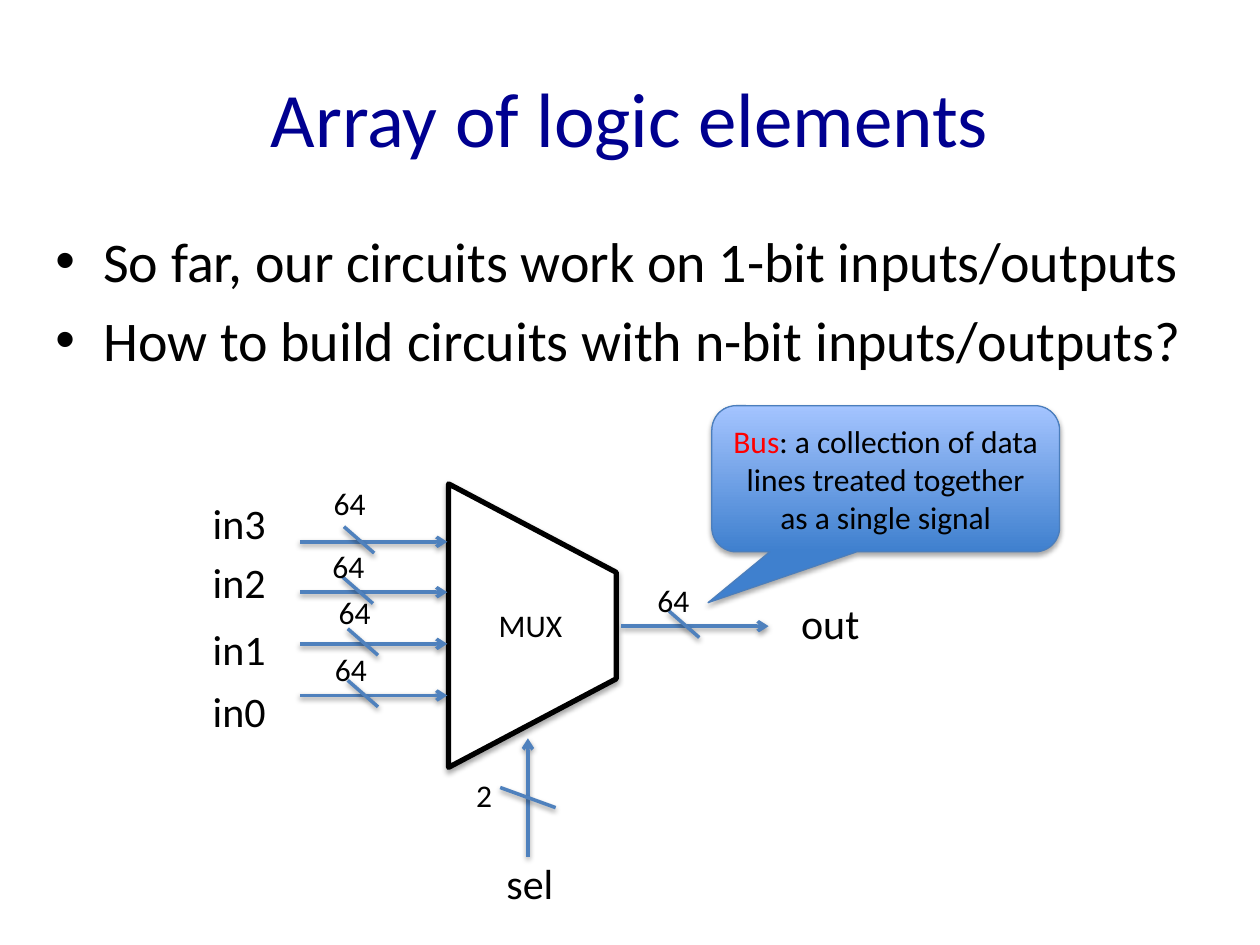
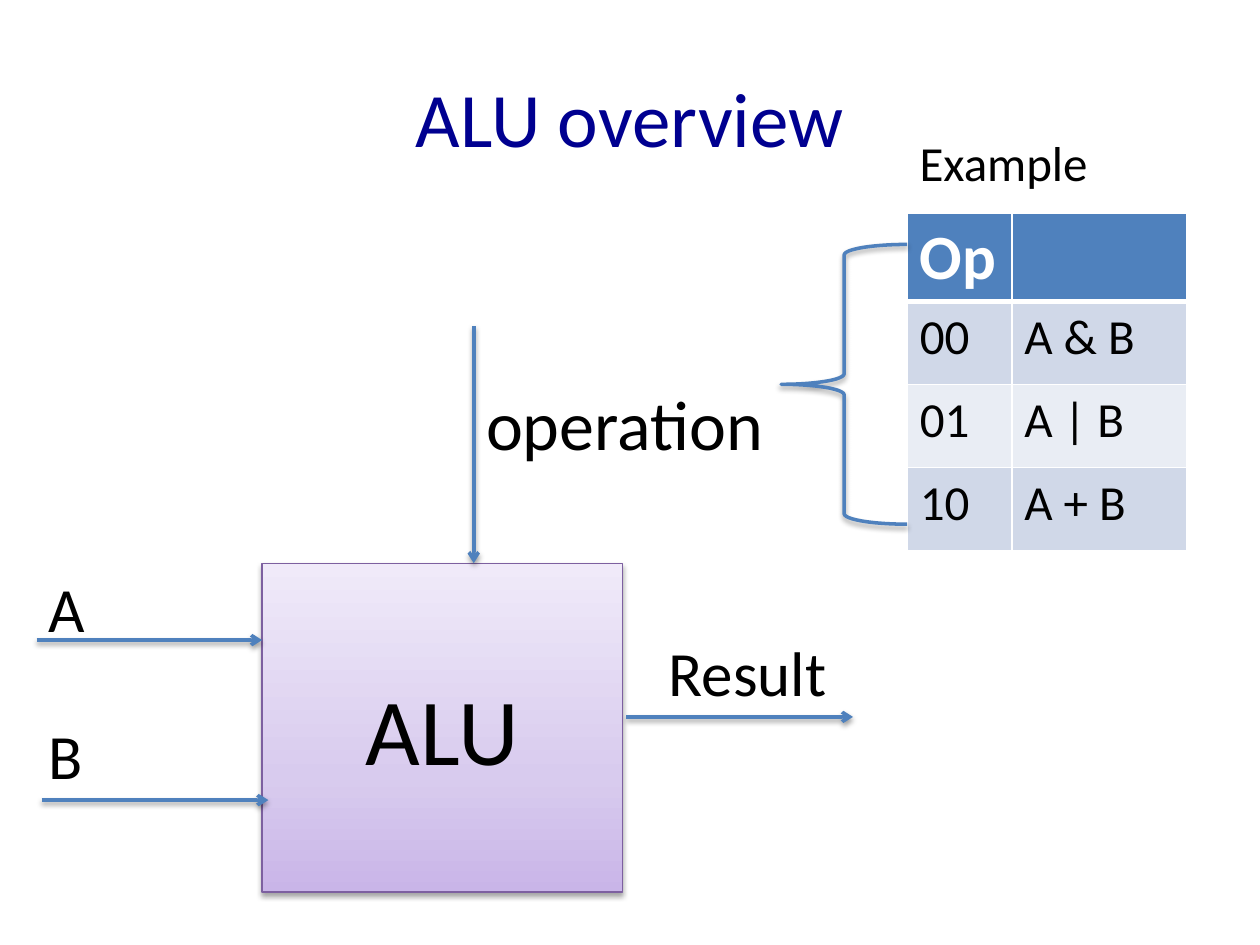
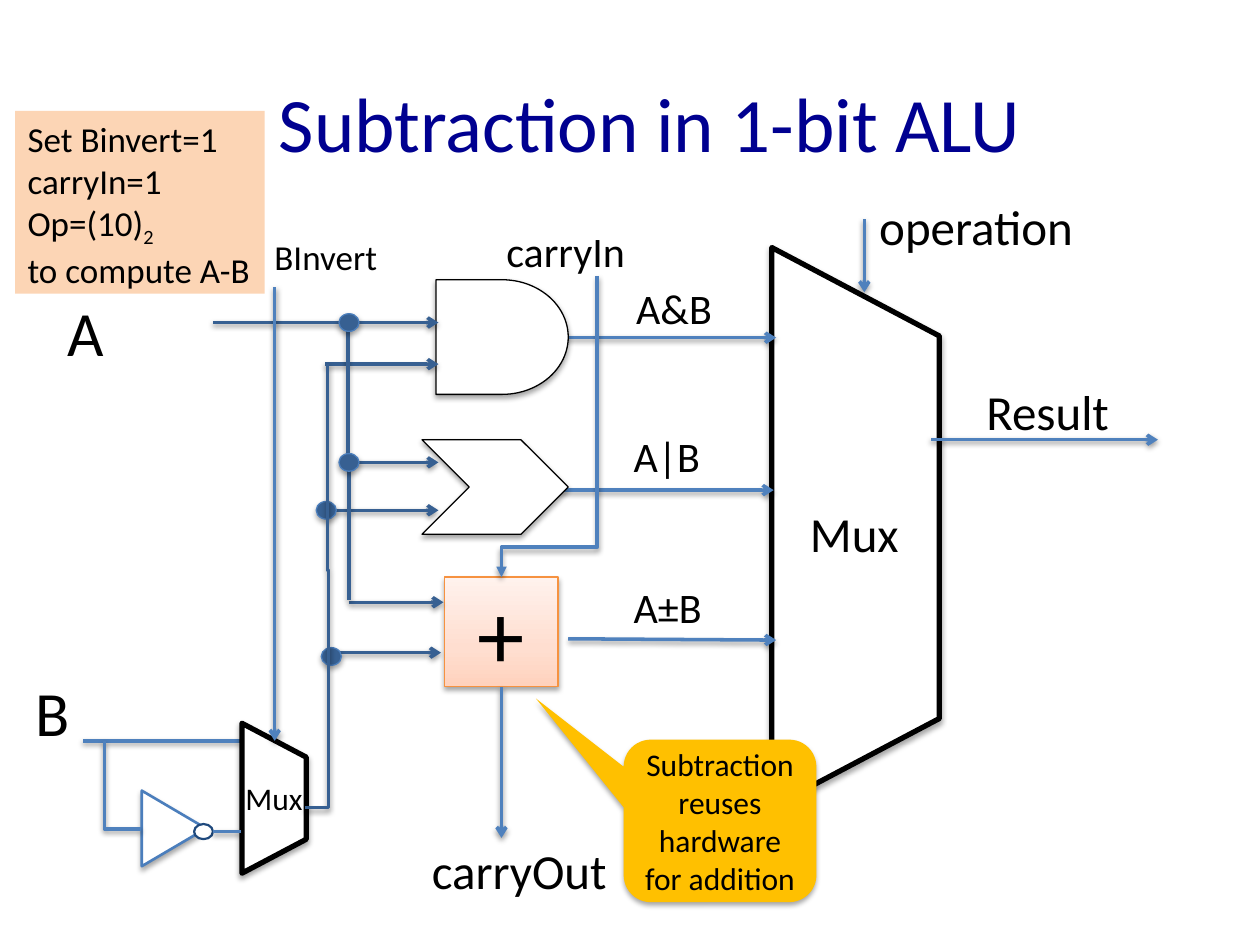
from dataclasses import dataclass

from lxml.etree import SubElement
from pptx import Presentation
from pptx.dml.color import RGBColor
from pptx.enum.shapes import MSO_CONNECTOR as Link, MSO_SHAPE as Form
from pptx.enum.text import MSO_ANCHOR as Anchor, MSO_AUTO_SIZE as Fit, PP_ALIGN as Align
from pptx.oxml.ns import qn
from pptx.util import Inches, Pt


@dataclass(frozen=True)
class Theme:
    font: str = "Calibri"
    title: str = "000090"
    ink: str = "000000"
    paper: str = "FFFFFF"
    accent: str = "FF0000"
    wire: str = "4F81BD"
    dark_wire: str = "376092"
    edge: str = "4B7EBC"
    bubble_edge: str = "1F497D"
    alu_edge: str = "7D60A0"
    adder_edge: str = "F69240"
    note: str = "FCD5B5"
    reuse: str = "FFC000"
    bands: tuple = ("D0D8E8", "E9EDF4")
    bus_fill: tuple = ((0, "3F80CE"), (100, "A4C4FF"))
    alu_fill: tuple = ((0, "C9B5E8"), (35, "D8CBEE"), (100, "F0EAF9"))
    adder_fill: tuple = ((0, "FFD2BD"), (35, "FFDED0"), (100, "FFF2ED"))
    title_size: int = 44
    block_size: int = 54
    body_size: int = 32
    operand_size: int = 36
    large_size: int = 28
    pin_size: int = 24
    note_size: int = 20
    small_size: int = 18


THEME = Theme()

# Array of logic elements
BULLETS = ["So far, our circuits work on 1-bit inputs/outputs",
           "How to build circuits with n-bit inputs/outputs?"]
BUS = [[("Bus", THEME.accent, 0),
        (": a collection of data lines treated together as a single signal", THEME.ink, 0)]]
# name, name top, wire height, slash left, width label left and top
INPUTS = [("in3", 3.9, 4.3, 2.73, 2.55, 3.79),
          ("in2", 4.37, 4.7, 2.72, 2.54, 4.29),
          ("in1", 4.9, 5.11, 2.76, 2.59, 4.66),
          ("in0", 5.39, 5.52, 2.76, 2.56, 5.11)]
# text, left, top, width, size
MUX_LABELS = [("MUX", 3.86, 4.76, 0.71, THEME.small_size),
              ("2", 3.68, 6.11, 0.33, THEME.small_size),
              ("sel", 3.92, 6.76, 0.58, THEME.pin_size),
              ("64", 5.12, 4.56, 0.46, THEME.small_size),
              ("out", 6.26, 4.69, 0.67, THEME.pin_size)]

# ALU overview
ALU_LABELS = [("operation", 3.76, 2.97, 2.44, 40),
              ("A", 0.29, 4.47, 0.5, THEME.operand_size),
              ("B", 0.29, 5.64, 0.48, THEME.operand_size),
              ("Result", 5.21, 4.98, 1.48, THEME.operand_size),
              ("Example", 7.2, 1, 1.56, THEME.large_size)]
ALU_WIRES = [((3.76, 2.59), (3.76, 4.47)), ((0.29, 5.08), (2.08, 5.08)),
             ((0.33, 6.35), (2.13, 6.35)), ((4.97, 5.69), (6.77, 5.69))]
OPERATIONS = [("Op", ""), ("00", "A & B"), ("01", "A | B"), ("10", "A + B")]

# Subtraction in 1-bit ALU
SETTINGS = ["Set Binvert=1", "carryIn=1",
            [("Op=(10)", THEME.ink, 0), ("2", THEME.ink, -25)], "to compute A-B"]
REUSE = ["Subtraction reuses hardware for addition"]
SUB_LABELS = [("Result", 7.73, 2.98, 1.19, THEME.large_size),
              ("operation", 6.88, 1.51, 1.76, THEME.large_size),
              ("carryOut", 3.33, 6.62, 1.6, THEME.large_size),
              ("Mux", 6.33, 3.95, 0.92, THEME.large_size),
              ("A&B", 4.95, 2.19, 0.81, THEME.pin_size),
              ("A|B", 4.93, 3.37, 0.73, THEME.pin_size),
              ("A±B", 4.93, 4.57, 0.75, THEME.pin_size),
              ("carryIn", 3.92, 1.74, 1.15, THEME.pin_size),
              ("A", 0.44, 2.28, 0.5, THEME.operand_size),
              ("B", 0.18, 5.3, 0.48, THEME.operand_size),
              ("BInvert", 2.08, 1.82, 1.02, THEME.note_size),
              ("Mux", 1.85, 6.13, 0.66, THEME.small_size)]
MUX_WIRES = [((7.39, 3.49), (9.19, 3.49)), ((6.86, 1.74), (6.86, 2.32)),
             ((4.37, 2.68), (6.16, 2.68)), ((4.51, 5.07), (6.16, 5.08)),
             ((4.34, 3.89), (6.14, 3.89))]
GATE_WIRES = [((1.69, 2.56), (3.48, 2.56)), ((2.58, 2.89), (3.48, 2.89)),
              ((2.58, 4.05), (3.48, 4.05)), ((2.73, 3.67), (3.48, 3.67)),
              ((2.77, 4.78), (3.52, 4.78)), ((2.6, 5.18), (3.5, 5.18))]
A_BRANCHES = [((2.76, 2.56), (2.76, 3.67)), ((2.77, 3.65), (2.77, 4.76))]
JUNCTIONS = [(2.69, 2.49), (2.69, 3.6), (2.51, 3.98), (2.55, 5.14)]


def apply(target, formats):
    for name, value in formats.items():
        setattr(target, name, value)


def rgb(colour):
    return RGBColor.from_string(colour)


def add_xml(parent, tag, **attributes):
    return SubElement(parent, qn(tag), {k: str(v) for k, v in attributes.items()})


def cast_shadow(part, alpha, distance):
    properties = part._element.spPr
    effects = properties.find(qn("a:effectLst"))
    if effects is None:
        effects = add_xml(properties, "a:effectLst")
    outer = add_xml(effects, "a:outerShdw", blurRad=Pt(3.1), dist=Pt(distance),
                    dir=90 * 60000, rotWithShape=0)
    black = add_xml(outer, "a:srgbClr", val=THEME.ink)
    add_xml(black, "a:alpha", val=alpha * 1000)


def write(frame, paragraphs, size, colour=THEME.ink, align=Align.LEFT, bold=False, **frame_formats):
    """A paragraph is a string or a list of (text, colour, baseline) runs."""
    apply(frame, {"word_wrap": True, **frame_formats})
    for i, runs in enumerate(paragraphs):
        paragraph = frame.paragraphs[0] if i == 0 else frame.add_paragraph()
        paragraph.alignment = align
        for text, tint, baseline in [(runs, colour, 0)] if isinstance(runs, str) else runs:
            run = paragraph.add_run()
            run.text = text
            apply(run.font, {"name": THEME.font, "size": Pt(size), "bold": bold})
            run.font.color.rgb = rgb(tint)
            if baseline:
                run._r.get_or_add_rPr().set("baseline", str(baseline * 1000))


def text_box(slide, box, paragraphs, size, **formats):
    frame = slide.shapes.add_textbox(*map(Inches, box)).text_frame
    write(frame, paragraphs, size, **formats)
    return frame


def add_labels(slide, labels):
    for text, left, top, width, size in labels:
        height = size * 1.2 / 72 + 0.1
        text_box(slide, (left, top, width, height), [text], size,
                 word_wrap=False, auto_size=Fit.SHAPE_TO_FIT_TEXT)


def paint(fill, colours, properties):
    if colours is None:
        fill.background()
    elif isinstance(colours, str):
        fill.solid()
        fill.fore_color.rgb = rgb(colours)
    else:
        fill.gradient()
        fill.gradient_angle = 90
        stops = properties.find(".//" + qn("a:gsLst"))
        stops.clear()
        for position, colour in colours:
            stop = add_xml(stops, "a:gs", pos=position * 1000)
            add_xml(stop, "a:srgbClr", val=colour)


def add_form(slide, kind, box, fill, edge=None, weight=0.75, rotation=0, adjust=(), shadow=True):
    form = slide.shapes.add_shape(kind, *map(Inches, box))
    form.rotation = rotation
    for i, value in enumerate(adjust):
        form.adjustments[i] = value
    paint(form.fill, fill, form._element.spPr)
    paint(form.line.fill, edge, None)
    if edge:
        form.line.width = Pt(weight)
    form.shadow.inherit = False
    if shadow:
        cast_shadow(form, 35, 1.8)
    return form


def add_block(slide, kind, box, paragraphs, size, fill, edge=None, adjust=()):
    block = add_form(slide, kind, box, fill, edge, adjust=adjust)
    write(block.text_frame, paragraphs, size, align=Align.CENTER,
          vertical_anchor=Anchor.MIDDLE)
    return block


def add_mux(slide, box):
    add_form(slide, Form.TRAPEZOID, box, THEME.paper, THEME.ink, 3, rotation=90, adjust=[0.528])


def add_wire(slide, start, end, colour=THEME.wire, tip="arrow", kind=Link.STRAIGHT):
    wire = slide.shapes.add_connector(kind, *map(Inches, start + end))
    wire.line.color.rgb = rgb(colour)
    wire.line.width = Pt(2)
    if tip:
        add_xml(wire.line._get_or_add_ln(), "a:tailEnd", type=tip)
    cast_shadow(wire, 38, 1.6)
    return wire


def add_bend(slide, start, end, preset, turn=0, adjust=(), **formats):
    """Elbow whose frame is turned back about its centre, then rotated by turn degrees."""
    cos, sin = {0: (1, 0), 90: (0, 1), 270: (0, -1)}[turn]
    cx, cy = (start[0] + end[0]) / 2, (start[1] + end[1]) / 2
    unturned = [(cx + (x - cx) * cos + (y - cy) * sin, cy - (x - cx) * sin + (y - cy) * cos)
                for x, y in (start, end)]
    properties = add_wire(slide, *unturned, kind=Link.ELBOW, **formats)._element.spPr
    properties.find(qn("a:xfrm")).set("rot", str(turn * 60000))
    geometry = properties.find(qn("a:prstGeom"))
    geometry.set("prst", preset)
    guides = geometry.find(qn("a:avLst"))
    if guides is None:
        guides = add_xml(geometry, "a:avLst")
    for i, value in enumerate(adjust, 1):
        add_xml(guides, "a:gd", name=f"adj{i}", fmla=f"val {round(value * 100000)}")


def new_slide(deck, title, left=0.5, top=0.3):
    slide = deck.slides.add_slide(deck.slide_layouts[6])
    text_box(slide, (left, top, 9, 1.25), [title], THEME.title_size, colour=THEME.title,
             align=Align.CENTER, vertical_anchor=Anchor.MIDDLE)
    return slide


def build_array(deck):
    slide = new_slide(deck, "Array of logic elements")
    body = text_box(slide, (0.34, 1.75, 9.48, 1.47), BULLETS, THEME.body_size)
    for paragraph in body.paragraphs:
        paragraph.space_before = Pt(THEME.body_size * 0.2)
        properties = paragraph._p.get_or_add_pPr()
        properties.set("marL", str(Inches(0.38)))
        properties.set("indent", str(-Inches(0.38)))
        add_xml(properties, "a:buFont", typeface="Arial")
        add_xml(properties, "a:buChar", char="•")

    # Multiplexer with its select line
    add_mux(slide, (3.1, 4.3, 2.25, 1.33))
    add_wire(slide, (4.19, 6.8), (4.19, 5.86))
    add_wire(slide, (3.97, 6.25), (4.41, 6.41), tip=None)

    # Buses: a wire and a slash each
    buses = [(2.38, y, slash) for _, _, y, slash, _, _ in INPUTS] + [(4.93, 4.97, 5.31)]
    for left, y, slash in buses:
        add_wire(slide, (left, y), (left + 1.17, y))
        add_wire(slide, (slash, y - 0.12), (slash + 0.24, y + 0.09), tip=None)
    for name, top, _, _, count_left, count_top in INPUTS:
        add_labels(slide, [(name, 1.59, top, 0.63, THEME.pin_size),
                           ("64", count_left, count_top, 0.46, THEME.small_size)])
    add_labels(slide, MUX_LABELS)
    add_block(slide, Form.ROUNDED_RECTANGULAR_CALLOUT, (5.65, 3.22, 2.76, 1.16), BUS,
              THEME.small_size, THEME.bus_fill, THEME.edge, [-0.511, 0.848, 0.167])


def add_operations(slide):
    table = slide.shapes.add_table(4, 2, *map(Inches, (7.2, 1.69, 2.22, 2.64))).table
    for column, width in zip(table.columns, (0.83, 1.39)):
        column.width = Inches(width)
    for r, texts in enumerate(OPERATIONS):
        header = r == 0
        table.rows[r].height = Inches(0.66)
        for c, text in enumerate(texts):
            cell = table.cell(r, c)
            if text:
                write(cell.text_frame, [text],
                      THEME.operand_size if header else THEME.large_size,
                      colour=THEME.paper if header else THEME.ink, bold=header)
            properties = cell._tc.get_or_add_tcPr()
            thick = {"a:lnB": 3} if header else {"a:lnT": 3} if r == 1 else {}
            for side in ("a:lnL", "a:lnR", "a:lnT", "a:lnB"):
                border = add_xml(properties, side, w=Pt(thick.get(side, 1)))
                add_xml(add_xml(border, "a:solidFill"), "a:srgbClr", val=THEME.paper)
            paint(cell.fill, THEME.wire if header else THEME.bands[(r - 1) % 2], properties)


def build_overview(deck):
    slide = new_slide(deck, "ALU overview")
    add_block(slide, Form.RECTANGLE, (2.08, 4.47, 2.86, 2.61), ["ALU"], THEME.block_size,
              THEME.alu_fill, THEME.alu_edge)
    for start, end in ALU_WIRES:
        add_wire(slide, start, end)
    add_labels(slide, ALU_LABELS)
    add_operations(slide)
    add_form(slide, Form.LEFT_BRACE, (6.2, 1.94, 1, 2.22), None, THEME.wire, 2)


def build_subtraction(deck):
    slide = new_slide(deck, "Subtraction in 1-bit ALU", 0.66, 0.34)

    # Result multiplexer and gates
    add_mux(slide, (4.57, 3.52, 4.44, 1.33))
    for start, end in MUX_WIRES:
        add_wire(slide, start, end)
    for kind, box in [(Form.FLOWCHART_DELAY, (3.46, 2.22, 1.05, 0.91)),
                      (Form.CHEVRON, (3.35, 3.49, 1.16, 0.75))]:
        add_form(slide, kind, box, THEME.paper, THEME.ink)
    adder = add_block(slide, Form.RECTANGLE, (3.53, 4.58, 0.9, 0.87), ["+"],
                      THEME.block_size, THEME.adder_fill, THEME.adder_edge)

    # Operand wires and junctions
    for start, end in GATE_WIRES:
        add_wire(slide, start, end, THEME.dark_wire)
    for start, end in A_BRANCHES:
        add_wire(slide, start, end, THEME.dark_wire, tip=None)
    for left, top in JUNCTIONS:
        add_form(slide, Form.OVAL, (left, top, 0.16, 0.14), THEME.dark_wire, THEME.edge)

    # Inverter and its multiplexer
    add_wire(slide, (1.91, 5.88), (0.66, 5.88), tip=None)
    add_mux(slide, (1.58, 6.08, 1.19, 0.51))
    add_bend(slide, (2.42, 6.41), (2.6, 2.89), "bentConnector4", adjust=[1.032, 0.536],
             colour=THEME.dark_wire, tip=None)
    add_form(slide, Form.ISOSCELES_TRIANGLE, (1.08, 6.32, 0.6, 0.51), THEME.paper,
             THEME.edge, 1.5, rotation=90)
    add_form(slide, Form.OVAL, (1.54, 6.54, 0.15, 0.12), THEME.paper, THEME.bubble_edge,
             1.25, shadow=False)
    add_wire(slide, (1.91, 6.6), (1.69, 6.6), tip=None)
    add_bend(slide, (0.83, 5.88), (1.12, 6.58), "bentConnector2", turn=270, tip=None)

    # Carry and invert controls
    carry_out = add_wire(slide, (3.98, 5.45), (3.98, 6.65))
    carry_out.begin_connect(adder, 2)
    add_wire(slide, (2.18, 2.28), (2.18, 5.88))
    add_bend(slide, (4.74, 2.19), (3.98, 4.58), "bentConnector3", turn=90, adjust=[0.901],
             tip="triangle")
    add_labels(slide, SUB_LABELS)

    # Notes
    settings = add_form(slide, Form.RECTANGLE, (0.12, 0.88, 1.98, 1.45), THEME.note, shadow=False)
    write(settings.text_frame, SETTINGS, THEME.note_size, word_wrap=False,
          auto_size=Fit.SHAPE_TO_FIT_TEXT, vertical_anchor=Anchor.TOP)
    add_block(slide, Form.ROUNDED_RECTANGULAR_CALLOUT, (4.95, 5.87, 1.53, 1.29), REUSE,
              THEME.small_size, THEME.reuse, adjust=[-0.955, -0.753, 0.167])


def main():
    deck = Presentation()
    deck.slide_width, deck.slide_height = Inches(10), Inches(7.5)
    for build in (build_array, build_overview, build_subtraction):
        build(deck)
    deck.save("out.pptx")


if __name__ == "__main__":
    main()
